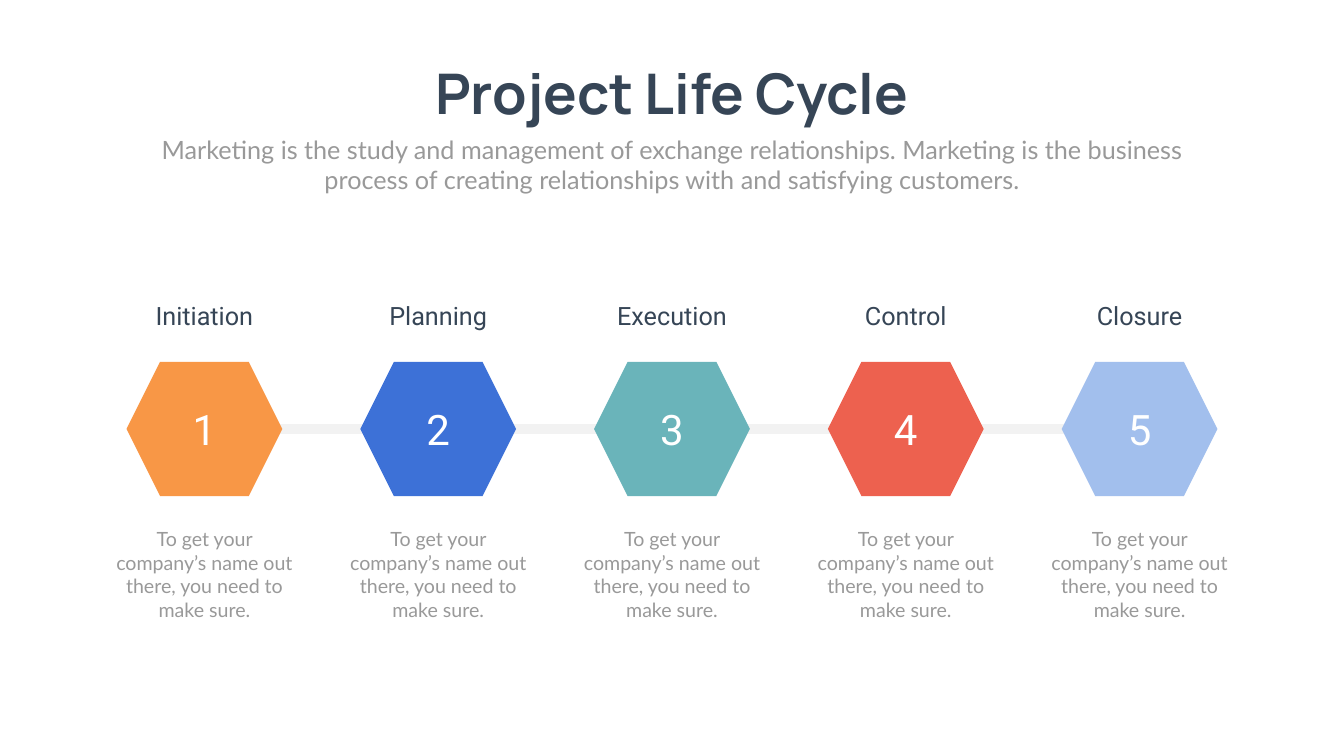
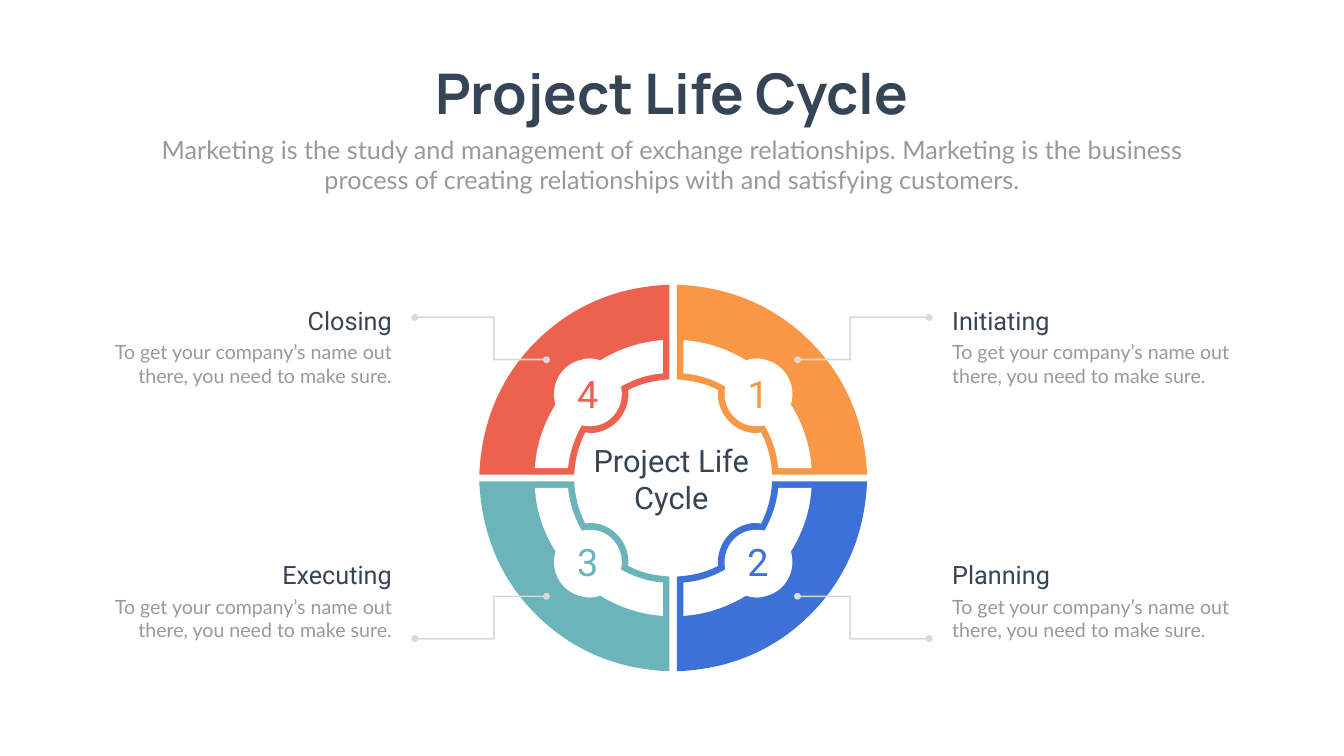
from dataclasses import dataclass

from lxml import etree
from pptx import Presentation
from pptx import util as u
from pptx.dml.color import RGBColor
from pptx.enum import shapes, text
from pptx.oxml.ns import qn


@dataclass(frozen=True)
class Theme:
    ink: str = "364556"
    gray: str = "999999"
    white: str = "FFFFFF"
    rail: str = "F2F2F2"
    lead: str = "D9D9D9"
    orange: str = "F89746"
    blue: str = "3D71D7"
    teal: str = "6AB4BA"
    red: str = "ED614F"
    sky: str = "A2BFED"
    title: tuple = ("Manrope", 80, True)
    sub: tuple = ("Lato", 36, False)
    head: tuple = ("Roboto", 36, False)
    body: tuple = ("Lato", 28, False)
    step: tuple = ("Roboto", 60, False)
    mark: tuple = ("Roboto", 54, False)
    core: tuple = ("Roboto", 44, False)


T = Theme()
LEFT, MID, RIGHT = text.PP_ALIGN.LEFT, text.PP_ALIGN.CENTER, text.PP_ALIGN.RIGHT
WIDE, HIGH = 67.72, 38.1

TITLE = "Project Life Cycle"
INTRO = ("Marketing is the study and management of exchange relationships. "
         "Marketing is the business process of creating relationships "
         "with and satisfying customers.")
NOTE = "To get your company’s name out there, you need to make sure."

STEPS = [("Initiation", T.orange), ("Planning", T.blue), ("Execution", T.teal),
         ("Control", T.red), ("Closure", T.sky)]

PARTS = [("4", "Closing", T.red, -1, -1), ("3", "Executing", T.teal, -1, 1),
         ("1", "Initiating", T.orange, 1, -1), ("2", "Planning", T.blue, 1, 1)]

RING = [(2.27, 4.43),
        (2.15, 3.37, 2.93, 2.4, 4, 2.27),
        (4.15, 2.27, 4.31, 2.27, 4.43, 2.3),
        (4.79, 1.59, 4.94, 0.93, 4.99, 0.17),
        (9.77, 0.17),
        (9.66, 2.73, 8.75, 5.04, 6.92, 6.87),
        (5.07, 8.72, 2.78, 9.64, 0.19, 9.74),
        (0.19, 4.97),
        (0.95, 4.91, 1.59, 4.79, 2.27, 4.43)]
BAND = [(5.3, 0.5),
        (6.97, 0.5),
        (6.9, 1.64, 6.54, 2.73, 5.93, 3.7),
        (6.21, 4.64, 5.7, 5.65, 4.74, 5.93),
        (4.38, 6.06, 4.03, 6.06, 3.67, 5.93),
        (2.71, 6.52, 1.64, 6.87, 0.52, 6.95),
        (0.52, 5.27),
        (1.26, 5.22, 1.97, 4.99, 2.63, 4.61),
        (2.43, 3.75, 2.96, 2.86, 3.82, 2.65),
        (4.08, 2.6, 4.36, 2.6, 4.61, 2.65),
        (4.99, 1.97, 5.22, 1.28, 5.3, 0.5)]
LEAD = [(12.95, 7.91),
        (12.88, 7.91, 12.8, 7.99, 12.78, 8.06),
        (9.02, 8.06), (9.02, 5.93), (6.5, 5.93),
        (6.48, 5.83, 6.38, 5.78, 6.3, 5.78),
        (6.2, 5.8, 6.12, 5.91, 6.15, 5.98),
        (6.17, 6.08, 6.25, 6.16, 6.35, 6.13),
        (6.43, 6.11, 6.48, 6.06, 6.5, 6.01),
        (8.94, 6.01), (8.94, 8.14), (12.8, 8.14),
        (12.8, 8.22, 12.88, 8.27, 12.95, 8.27),
        (13.06, 8.27, 13.13, 8.19, 13.13, 8.09),
        (13.13, 7.99, 13.06, 7.91, 12.95, 7.91)]


def paint(shape, color):
    shape.shadow.inherit = False
    shape.fill.solid()
    shape.fill.fore_color.rgb = RGBColor.from_string(color)
    shape.line.fill.background()


def write(shape, words, style, color, align):
    face, size, bold = style
    frame = shape.text_frame
    frame.text = words
    para = frame.paragraphs[0]
    para.alignment = align
    font = para.runs[0].font
    font.name, font.size, font.bold = face, u.Pt(size), bold
    font.color.rgb = RGBColor.from_string(color)


def label(slide, box, words, style, color, align=MID, wrap=True):
    shape = slide.shapes.add_textbox(*map(u.Cm, box))
    write(shape, words, style, color, align)
    shape.text_frame.word_wrap = wrap
    shape.text_frame.auto_size = text.MSO_AUTO_SIZE.SHAPE_TO_FIT_TEXT


def bend(shape, outline):
    trail = shape._element.spPr.find(".//" + qn("a:path"))
    lines = iter(trail.findall(qn("a:lnTo")))
    for seg in outline[1:]:
        group = [next(lines) for _ in range(len(seg) // 2)]
        if len(group) == 3:
            curve = etree.Element(qn("a:cubicBezTo"))
            group[0].addprevious(curve)
            for line in group:
                curve.append(line[0])
                trail.remove(line)


def sketch(slide, outline, hub, side, way, color):
    dots = [(u.Cm(hub[0] + side * x), u.Cm(hub[1] + way * y))
            for seg in outline for x, y in zip(seg[::2], seg[1::2])]
    pen = slide.shapes.build_freeform(*dots[0])
    pen.add_line_segments(dots[1:], close=True)
    shape = pen.convert_to_shape()
    bend(shape, outline)
    paint(shape, color)


def start(deck):
    slide = deck.slides.add_slide(deck.slide_layouts[6])
    label(slide, (21.21, 2.84, 25.27, 3.68), TITLE, T.title, T.ink, wrap=False)
    label(slide, (7.42, 6.63, 52.88, 3.33), INTRO, T.sub, T.gray)
    return slide


def chain(deck):
    slide = start(deck)
    first, gap, axis = 10.3, 11.78, 21.62
    wide, high = 7.85, 6.76
    mids = [first + gap * i for i in range(len(STEPS))]
    rail = slide.shapes.add_connector(
        shapes.MSO_CONNECTOR.STRAIGHT,
        u.Cm(mids[0]), u.Cm(axis), u.Cm(mids[-1]), u.Cm(axis))
    rail.line.color.rgb = RGBColor.from_string(T.rail)
    rail.line.width = u.Pt(13)
    etree.SubElement(rail._element.spPr, qn("a:effectLst"))
    for i, (mid, (name, color)) in enumerate(zip(mids, STEPS), 1):
        hexa = slide.shapes.add_shape(
            shapes.MSO_SHAPE.HEXAGON, u.Cm(mid - wide / 2),
            u.Cm(axis - high / 2), u.Cm(wide), u.Cm(high))
        paint(hexa, color)
        write(hexa, str(i), T.step, T.white, MID)
        hexa.text_frame.vertical_anchor = text.MSO_ANCHOR.MIDDLE
        label(slide, (mid - 3.75, 15.01, 7.5, 1.8), name, T.head, T.ink)
        label(slide, (mid - 4.76, 26.44, 9.52, 5.05), NOTE, T.body, T.gray)


def wheel(deck):
    slide = start(deck)
    hub, pivot = (33.92, 24.09), (33.86, 24.09)
    for _, _, color, side, way in PARTS:
        sketch(slide, RING, hub, side, way, color)
        sketch(slide, BAND, hub, side, way, T.white)
    for _, _, _, side, way in PARTS:
        sketch(slide, LEAD, pivot, side, way, T.lead)
    for mark, name, color, side, way in PARTS:
        label(slide, (33.9 + side * 4.29 - 1.13, 22.8 + way * 4.23, 2.26, 2.57),
              mark, T.mark, color)
        top = 15.24 if way < 0 else 28.07
        align = LEFT if side > 0 else RIGHT
        for drop, wide, high, words, style, tint in (
                (0, 7.49, 1.8, name, T.head, T.ink),
                (1.78, 14.99, 2.64, NOTE, T.body, T.gray)):
            left = 47.73 if side > 0 else WIDE - 47.73 - wide
            label(slide, (left, top + drop, wide, high), words, style, tint, align)
    label(slide, (28.75, 22.15, 10.16, 4.01), TITLE, T.core, T.ink)


def main():
    deck = Presentation()
    deck.slide_width, deck.slide_height = u.Cm(WIDE), u.Cm(HIGH)
    chain(deck)
    wheel(deck)
    deck.save("out.pptx")


if __name__ == "__main__":
    main()
